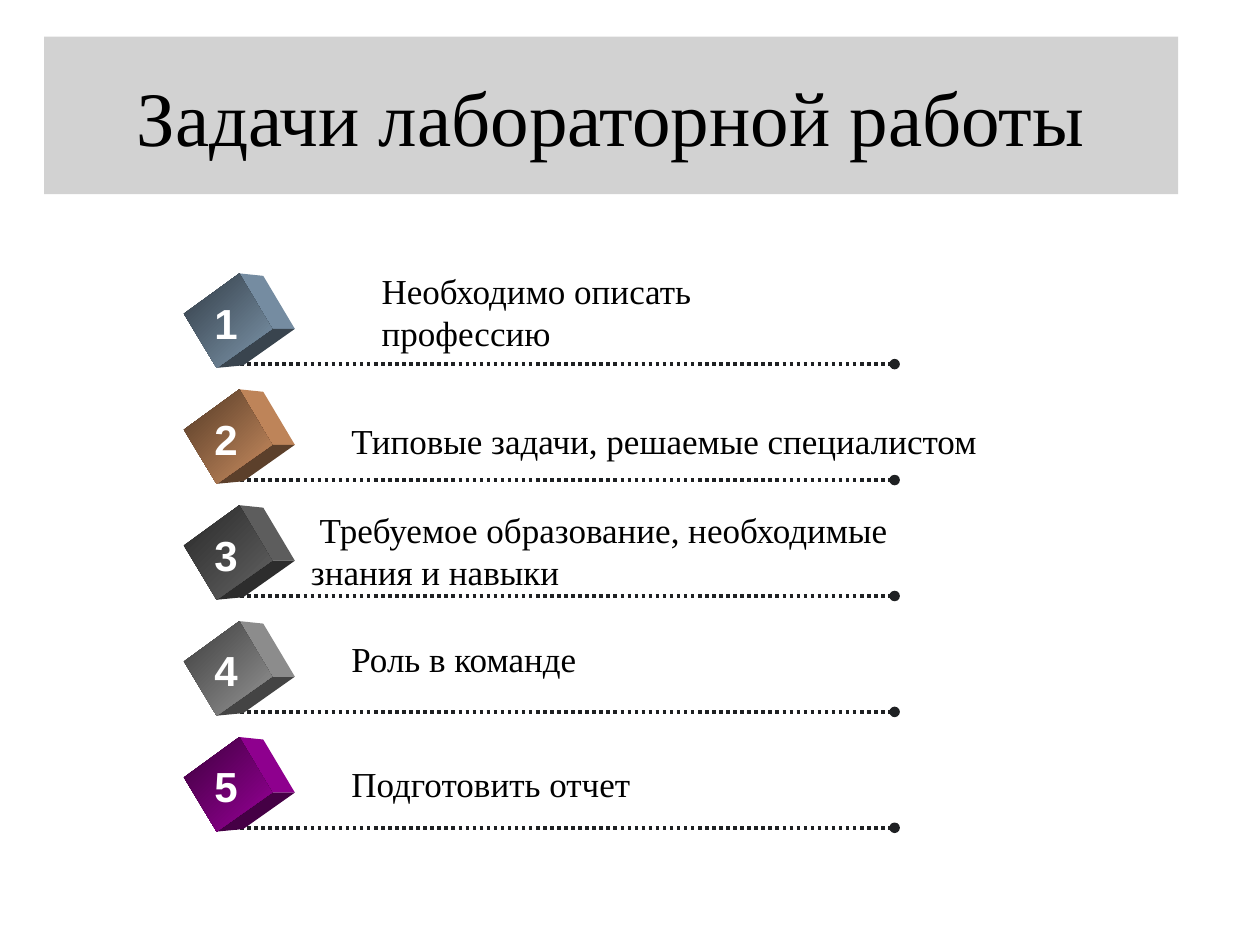
from dataclasses import dataclass

from lxml.etree import SubElement
from pptx import Presentation
from pptx.dml.color import RGBColor
from pptx.enum.dml import MSO_LINE
from pptx.enum.shapes import MSO_CONNECTOR
from pptx.enum.text import MSO_ANCHOR, MSO_AUTO_SIZE, PP_ALIGN
from pptx.oxml.ns import qn
from pptx.util import Inches, Pt

WIDTH, HEIGHT = 10, 7.5
FIRST_RULE, ROW_PITCH = 2.89, 0.92
RULE_LEFT, RULE_RIGHT = 1.85, 7.1
CUBE_LEFT, CUBE_RISE = 1.46, 0.72

# Cube faces, in inches from the cube's top left corner
FRONT = [(0, 0.32), (0.44, 0), (0.7, 0.44), (0.26, 0.75)]
SIDE = [(0.44, 0), (0.63, 0.02), (0.88, 0.44), (0.7, 0.44)]
BASE = [(0.26, 0.75), (0.7, 0.44), (0.88, 0.44), (0.47, 0.73)]


@dataclass
class Task:
    label: str
    color: str
    left: float
    rise: float  # from the row's rule up to the top of the label
    width: float
    height: float = 0.44
    wrap: bool = False


TASKS = [
    Task("Необходимо описать профессию", "7E97AD", 2.93, 0.8, 3.85, 0.77, True),
    Task("Типовые задачи, решаемые специалистом", "CC8E60", 2.69, 0.53, 5.17),
    Task(" Требуемое образование, необходимые знания и навыки",
         "646464", 2.37, 0.74, 5.07, 0.77, True),
    Task("Роль в команде", "969696", 2.69, 0.64, 2),
    Task("Подготовить отчет", "990099", 2.69, 0.57, 2.44),
]


def rgb(color: str) -> RGBColor:
    return RGBColor.from_string(color)


def shade(color: str, share: float) -> str:
    return "".join(f"{round(int(color[i:i + 2], 16) * share):02X}" for i in (0, 2, 4))


def format_text(frame, size: int, font: str, color: str, bold=False, align=PP_ALIGN.LEFT):
    for paragraph in frame.paragraphs:
        paragraph.alignment = align
        for run in paragraph.runs:
            run.font.size, run.font.name, run.font.bold = Pt(size), font, bold
            run.font.color.rgb = rgb(color)


def add_text(slide, text: str, left: float, top: float, width: float, height: float,
             wrap=False):
    box = slide.shapes.add_textbox(Inches(left), Inches(top), Inches(width), Inches(height))
    frame = box.text_frame
    frame.text = text
    frame.word_wrap = wrap
    frame.auto_size = MSO_AUTO_SIZE.SHAPE_TO_FIT_TEXT
    return frame


def add_title(slide, text: str):
    title = slide.shapes.title
    title.left, title.top = Inches(0.35), Inches(0.29)
    title.width, title.height = Inches(9), Inches(1.25)
    title.fill.solid()
    title.fill.fore_color.rgb = rgb("A6A6A6")
    tint = title.fill._xPr.find(qn("a:solidFill"))[0]
    SubElement(tint, qn("a:alpha"), val="50000")
    title.text_frame.text = text
    title.text_frame.vertical_anchor = MSO_ANCHOR.MIDDLE
    format_text(title.text_frame, 44, "Times New Roman", "000000", align=PP_ALIGN.CENTER)


def add_rule(slide, y: float):
    rule = slide.shapes.add_connector(MSO_CONNECTOR.STRAIGHT, Inches(RULE_LEFT), Inches(y),
                                      Inches(RULE_RIGHT), Inches(y))
    rule.line.color.rgb = rgb("1F2123")
    rule.line.width = Pt(2)
    rule.line.dash_style = MSO_LINE.ROUND_DOT
    SubElement(rule.line._get_or_add_ln(), qn("a:tailEnd"), type="oval")
    SubElement(rule._element.spPr, qn("a:effectLst"))


def add_face(slide, corners, top: float):
    points = [(Inches(CUBE_LEFT + x), Inches(top + y)) for x, y in corners]
    builder = slide.shapes.build_freeform(*points[0])
    builder.add_line_segments(points[1:], close=True)
    face = builder.convert_to_shape()
    face.shadow.inherit = False
    face.line.fill.background()
    return face


def add_cube(slide, number: int, color: str, rule_y: float):
    top = rule_y - CUBE_RISE
    for corners, share in ((SIDE, 0.93), (BASE, 0.45)):
        face = add_face(slide, corners, top)
        face.fill.solid()
        face.fill.fore_color.rgb = rgb(shade(color, share))
    front = add_face(slide, FRONT, top)
    front.fill.gradient()
    front.fill.gradient_angle = 315
    for stop, position, share in zip(front.fill.gradient_stops, (0, 1), (0.4, 1)):
        stop.position = position
        stop.color.rgb = rgb(shade(color, share))
    digit = add_text(slide, str(number), 1.6, rule_y - 0.58, 0.39, 0.5)
    format_text(digit, 24, "Arial", "FFFFFF", True, PP_ALIGN.CENTER)


def add_task(slide, number: int, task: Task):
    rule_y = FIRST_RULE + (number - 1) * ROW_PITCH
    add_rule(slide, rule_y)
    add_cube(slide, number, task.color, rule_y)
    label = add_text(slide, task.label, task.left, rule_y - task.rise,
                     task.width, task.height, task.wrap)
    format_text(label, 20, "Times New Roman", "000000")


def main():
    deck = Presentation()
    deck.slide_width, deck.slide_height = Inches(WIDTH), Inches(HEIGHT)
    slide = deck.slides.add_slide(deck.slide_layouts[5])
    add_title(slide, "Задачи лабораторной работы")
    for number, task in enumerate(TASKS, 1):
        add_task(slide, number, task)
    deck.save("out.pptx")


if __name__ == "__main__":
    main()
